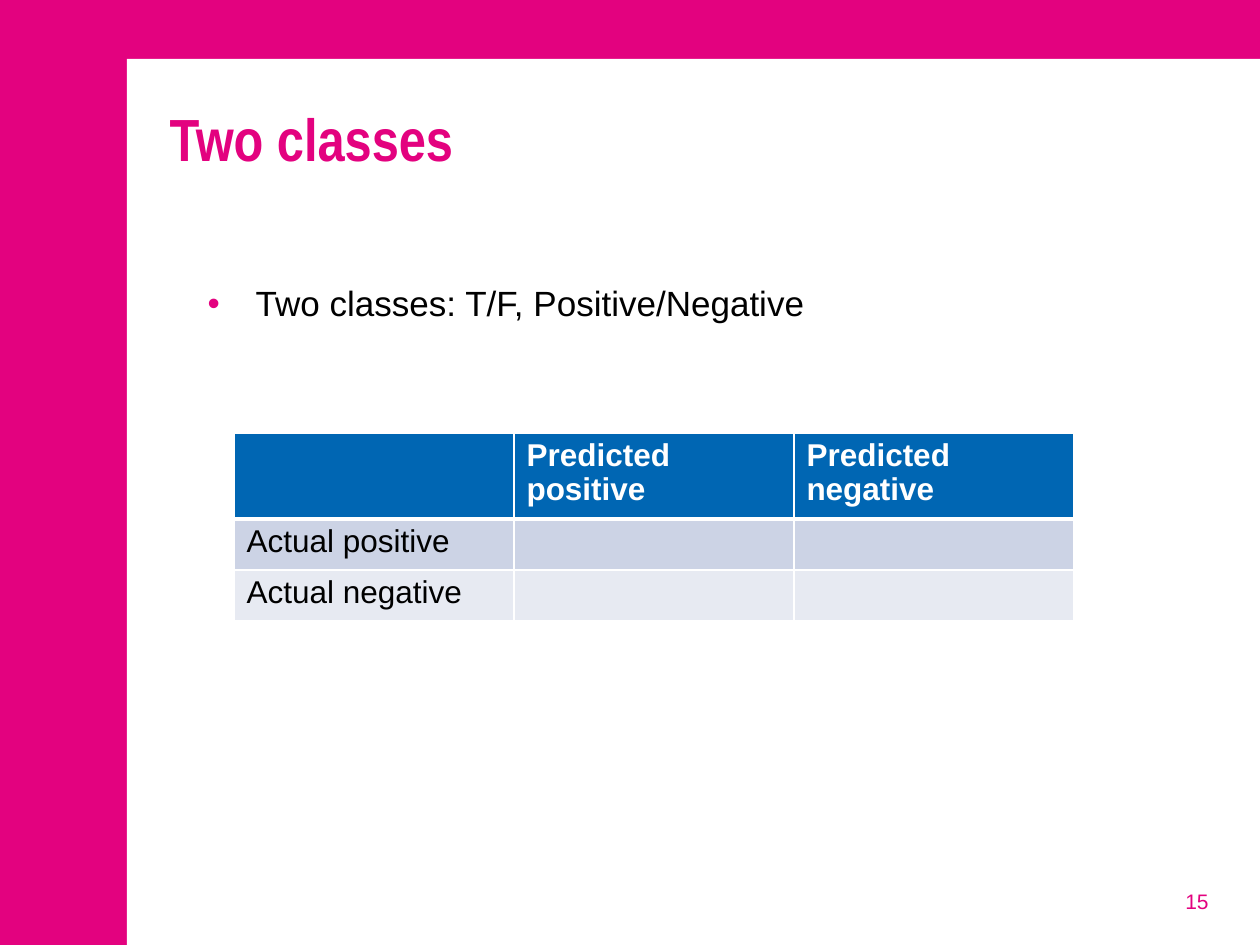
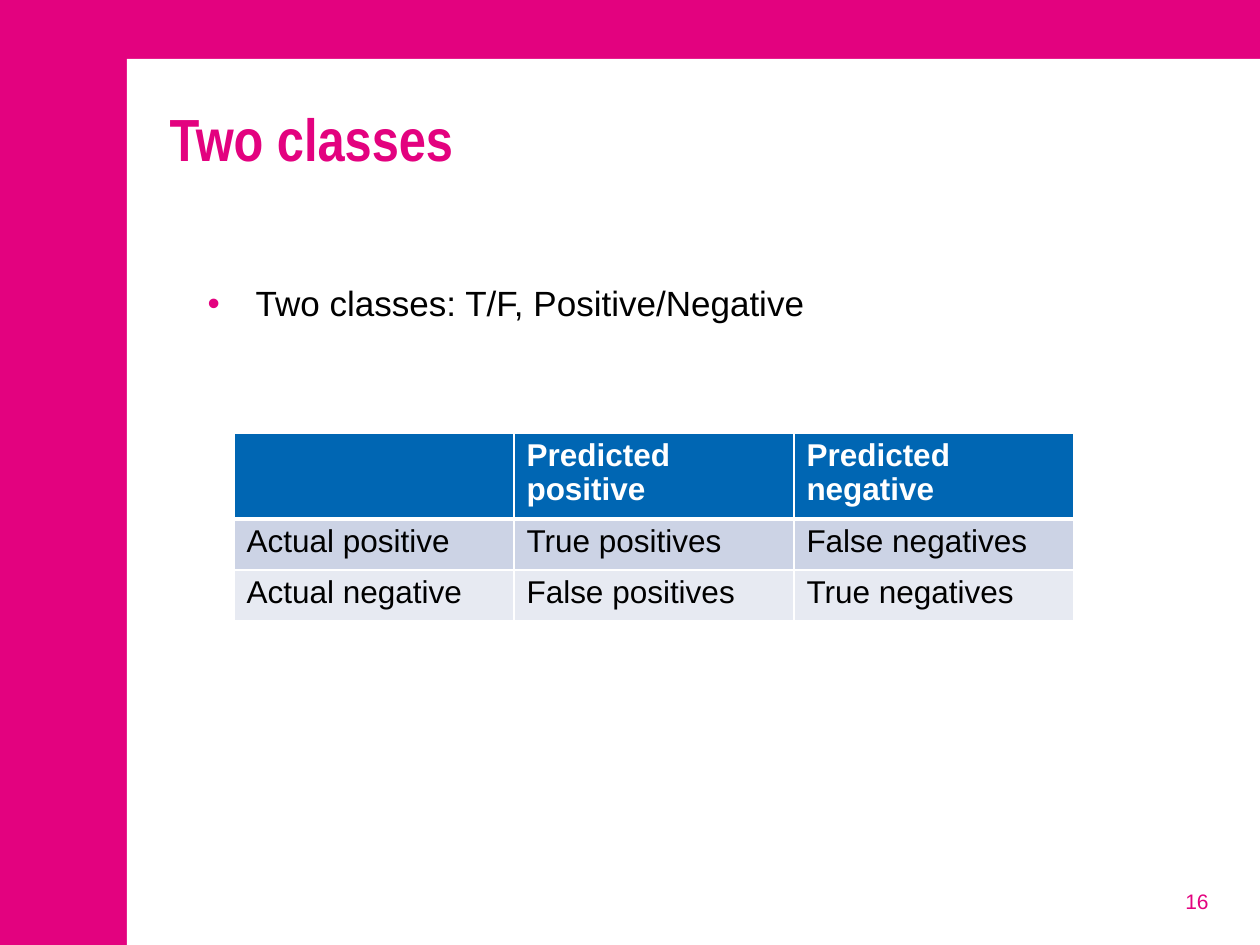
from dataclasses import dataclass

from lxml.etree import SubElement
from pptx import Presentation
from pptx.dml.color import RGBColor
from pptx.enum.shapes import MSO_SHAPE
from pptx.enum.text import MSO_ANCHOR, MSO_AUTO_SIZE, PP_ALIGN
from pptx.oxml.ns import qn
from pptx.util import Emu, Pt

HEADING = "Two classes"
POINTS = ["Two classes: T/F, Positive/Negative"]
COLUMN_HEADS = ["", "Predicted positive", "Predicted negative"]
ROW_HEADS = ["Actual positive", "Actual negative"]
SLIDES = [
    {"number": 15, "outcomes": [["", ""], ["", ""]]},
    {"number": 16, "outcomes": [["True positives", "False negatives"],
                                ["False positives", "True negatives"]]},
]


@dataclass(frozen=True)
class Theme:
    accent: str = "E3027F"
    paper: str = "FFFFFF"
    ink: str = "000000"
    head_fill: str = "0066B3"
    row_fills: tuple = ("CCD3E5", "E7EAF2")
    font: str = "Arial"
    title_font: str = "Arial Narrow"
    title_size: int = 34
    body_size: int = 20
    table_size: int = 18
    number_size: int = 12
    rule: int = 1
    head_rule: int = 3


THEME = Theme()

# Lengths in px, 126 to the inch; boxes are left, top, width, height
SLIDE_SIZE = (1260, 945)
PANEL = (127, 59, 1133, 886)
TITLE = (157, 88, 1064, 169)
TITLE_INSET = 14
BODY = (195, 280, 1026, 566)
BULLET_INDENT = 48
NUMBER = (927, 876, 294, 50)
MATRIX_ORIGIN = (234, 433)
COLUMN_WIDTH = 280
HEAD_HEIGHT, ROW_HEIGHT = 82, 51


def px(length):
    return Emu(round(length * 914400 / 126))


def scaled(box):
    return [px(length) for length in box]


def place(shape, box):
    shape.left, shape.top, shape.width, shape.height = scaled(box)


def add_run(paragraph, text, size, color, bold=False, font=THEME.font):
    run = paragraph.add_run()
    run.text = text
    run.font.name, run.font.size, run.font.bold = font, Pt(size), bold
    run.font.color.rgb = RGBColor.from_string(color)


def paint(fill, color):
    fill.solid()
    fill.fore_color.rgb = RGBColor.from_string(color)


def set_up_layout(layout, slide):
    """Give the layout the pink ground and the white panel, drawn on a slide and moved."""
    paint(layout.slide_master.background.fill, THEME.accent)
    panel = slide.shapes.add_shape(MSO_SHAPE.RECTANGLE, *scaled(PANEL))
    panel.shadow.inherit = False
    paint(panel.fill, THEME.paper)
    panel.line.fill.background()
    layout.shapes.element.insert(2, panel.element)


def add_title(slide):
    title = slide.shapes.title
    place(title, TITLE)
    frame = title.text_frame
    frame.auto_size = MSO_AUTO_SIZE.NONE
    frame.vertical_anchor = MSO_ANCHOR.TOP
    frame.margin_top = px(TITLE_INSET)
    heading = frame.paragraphs[0]
    heading.alignment = PP_ALIGN.LEFT
    add_run(heading, HEADING, THEME.title_size, THEME.accent, True, THEME.title_font)


def set_bullet(paragraph):
    props = paragraph._p.get_or_add_pPr()
    props.set("marL", str(px(BULLET_INDENT)))
    props.set("indent", str(-px(BULLET_INDENT)))
    SubElement(SubElement(props, qn("a:buClr")), qn("a:srgbClr"), val=THEME.accent)
    SubElement(props, qn("a:buFont"), typeface=THEME.font)
    SubElement(props, qn("a:buChar"), char="•")


def add_points(slide):
    body = slide.placeholders[1]
    place(body, BODY)
    frame = body.text_frame
    frame.auto_size = MSO_AUTO_SIZE.NONE
    for index, text in enumerate(POINTS):
        point = frame.add_paragraph() if index else frame.paragraphs[0]
        point.level = 1
        point.line_spacing = 0.9
        point.space_before, point.space_after = Pt(4), Pt(6)
        set_bullet(point)
        add_run(point, text, THEME.body_size, THEME.ink)


def add_number(slide, number):
    frame = slide.shapes.add_textbox(*scaled(NUMBER)).text_frame
    frame.word_wrap = True
    frame.vertical_anchor = MSO_ANCHOR.MIDDLE
    frame.paragraphs[0].alignment = PP_ALIGN.RIGHT
    add_run(frame.paragraphs[0], str(number), THEME.number_size, THEME.accent)


def rule_cell(cell, row):
    """Draw white borders, heavier between the heading and the first row."""
    widths = {"lnL": THEME.rule, "lnR": THEME.rule,
              "lnT": THEME.head_rule if row == 1 else THEME.rule,
              "lnB": THEME.head_rule if row == 0 else THEME.rule}
    props = cell._tc.get_or_add_tcPr()
    for side, width in widths.items():
        line = SubElement(props, qn(f"a:{side}"), w=str(Pt(width)))
        SubElement(SubElement(line, qn("a:solidFill")), qn("a:srgbClr"), val=THEME.paper)


def add_matrix(slide, outcomes):
    grid = [COLUMN_HEADS] + [[head, *row] for head, row in zip(ROW_HEADS, outcomes)]
    heights = [HEAD_HEIGHT] + [ROW_HEIGHT] * len(ROW_HEADS)
    size = (COLUMN_WIDTH * len(COLUMN_HEADS), sum(heights))
    matrix = slide.shapes.add_table(len(grid), len(COLUMN_HEADS),
                                    *scaled(MATRIX_ORIGIN + size)).table
    fills = (THEME.head_fill, *THEME.row_fills)
    for row, (texts, height, fill) in enumerate(zip(grid, heights, fills)):
        matrix.rows[row].height = px(height)
        is_head = row == 0
        for column, text in enumerate(texts):
            cell = matrix.cell(row, column)
            rule_cell(cell, row)
            paint(cell.fill, fill)
            if text:
                label = cell.text_frame.paragraphs[0]
                label.line_spacing = 0.97
                add_run(label, text, THEME.table_size,
                        THEME.paper if is_head else THEME.ink, is_head)


def main():
    prs = Presentation()
    prs.slide_width, prs.slide_height = scaled(SLIDE_SIZE)
    layout = prs.slide_layouts[1]
    for index, content in enumerate(SLIDES):
        slide = prs.slides.add_slide(layout)
        if index == 0:
            set_up_layout(layout, slide)
        add_title(slide)
        add_points(slide)
        add_number(slide, content["number"])
        add_matrix(slide, content["outcomes"])
    prs.save("out.pptx")


if __name__ == "__main__":
    main()
